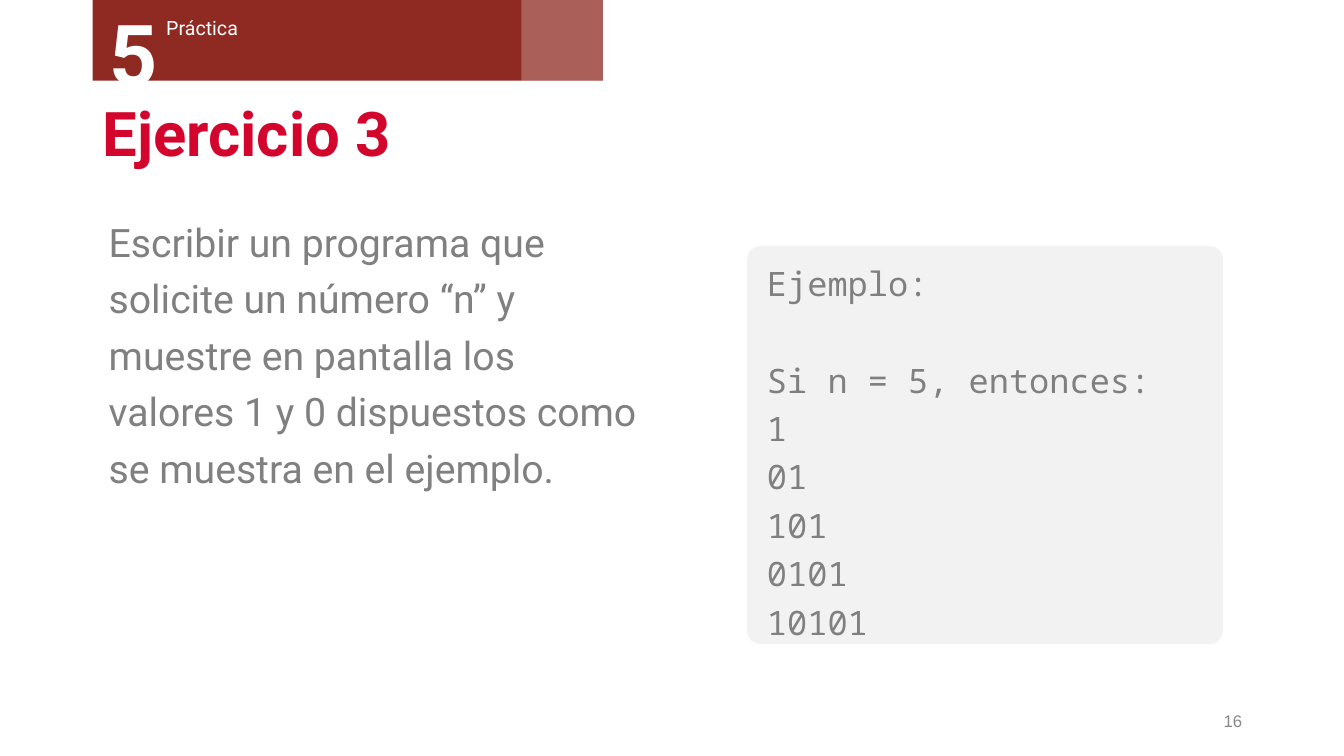
import pptx
import pptx.util
import pptx.dml.color
import pptx.enum.shapes
import pptx.enum.text
import pptx.oxml.ns
import lxml.etree

RGB = pptx.dml.color.RGBColor
SHAPE = pptx.enum.shapes.MSO_SHAPE
ALIGN = pptx.enum.text.PP_ALIGN
ANCHOR = pptx.enum.text.MSO_ANCHOR
Pt = pptx.util.Pt
PX = 9144  # 100 px to the inch

BRICK = RGB(0x8F, 0x2A, 0x22)
CRIMSON = RGB(0xD3, 0x05, 0x2C)
WHITE = RGB(0xFF, 0xFF, 0xFF)
PANEL = RGB(0xF2, 0xF2, 0xF2)
GREY = RGB(0x80, 0x80, 0x80)
PAGE_GREY = RGB(0x88, 0x88, 0x88)


def add_block(kind, box, color):
    sp = s.shapes.add_shape(kind, *[v * PX for v in box])
    sp.shadow.inherit = False
    sp.fill.solid()
    sp.fill.fore_color.rgb = color
    sp.line.fill.background()
    return sp


def write(sp, lines, font, anchor=ANCHOR.TOP, indent=0, **layout):
    """Fill a shape with one paragraph per line, all in the same format."""
    tf = sp.text_frame
    tf.word_wrap = True
    tf.vertical_anchor = anchor
    for i, line in enumerate(lines):
        p = tf.paragraphs[0] if i == 0 else tf.add_paragraph()
        p.alignment = ALIGN.LEFT
        if indent:
            p._p.get_or_add_pPr().set("marL", str(indent * PX))
        for name, value in layout.items():
            setattr(p, name, value)
        r = p.add_run()
        r.text = line
        for name, value in font.items():
            if name == "color":
                r.font.color.rgb = value
            else:
                setattr(r.font, name, value)


prs = pptx.Presentation()
prs.slide_width, prs.slide_height = 1333 * PX, 750 * PX
s = prs.slides.add_slide(prs.slide_layouts[6])

# Header band
add_block(SHAPE.RECTANGLE, (92, 0, 506, 80), BRICK)

texts = [
    ((155, 11, 275, 34), "Práctica",
     dict(name="Roboto", size=Pt(14), color=WHITE), {}),
    ((99, -3, 112, 111), "5",
     dict(name="Roboto", size=Pt(60), color=WHITE, bold=True), {}),
    ((92, 93, 1150, 86), "Ejercicio 3",
     dict(name="Roboto", size=Pt(44), color=CRIMSON, bold=True),
     dict(anchor=ANCHOR.MIDDLE, line_spacing=0.9)),
    ((92, 202, 554, 478),
     "Escribir un programa que solicite un número “n” y muestre en pantalla "
     "los valores 1 y 0 dispuestos como se muestra en el ejemplo.",
     dict(name="Roboto", size=Pt(28), color=GREY),
     dict(indent=6, line_spacing=1.2)),
    ((942, 695, 300, 40), "16",
     dict(name="Arial", size=Pt(12), color=PAGE_GREY),
     dict(anchor=ANCHOR.MIDDLE, alignment=ALIGN.RIGHT)),
]
for box, text, font, layout in texts:
    write(s.shapes.add_textbox(*[v * PX for v in box]), [text], font, **layout)

# Translucent end of the band
band_end = add_block(SHAPE.RECTANGLE, (517, 0, 81, 80), WHITE)
white = band_end.fill._xPr.find(".//" + pptx.oxml.ns.qn("a:srgbClr"))
lxml.etree.SubElement(white, pptx.oxml.ns.qn("a:alpha"), val="25000")

# Example panel
n = 5
pattern = ["".join(str((row - col) % 2) for col in range(row))
           for row in range(1, n + 1)]
pattern = [line[::-1] if line[-1] != "1" else line for line in pattern]
panel = add_block(SHAPE.ROUNDED_RECTANGLE, (741, 244, 472, 395), PANEL)
panel.adjustments[0] = 0.034
write(panel, ["Ejemplo:", f"Si n = {n}, entonces:"] + pattern,
      dict(name="Noto Sans Mono", size=Pt(24), color=GREY),
      indent=6, line_spacing=1.2)
panel.text_frame.paragraphs[0].space_after = Pt(34.5)

prs.save("out.pptx")
